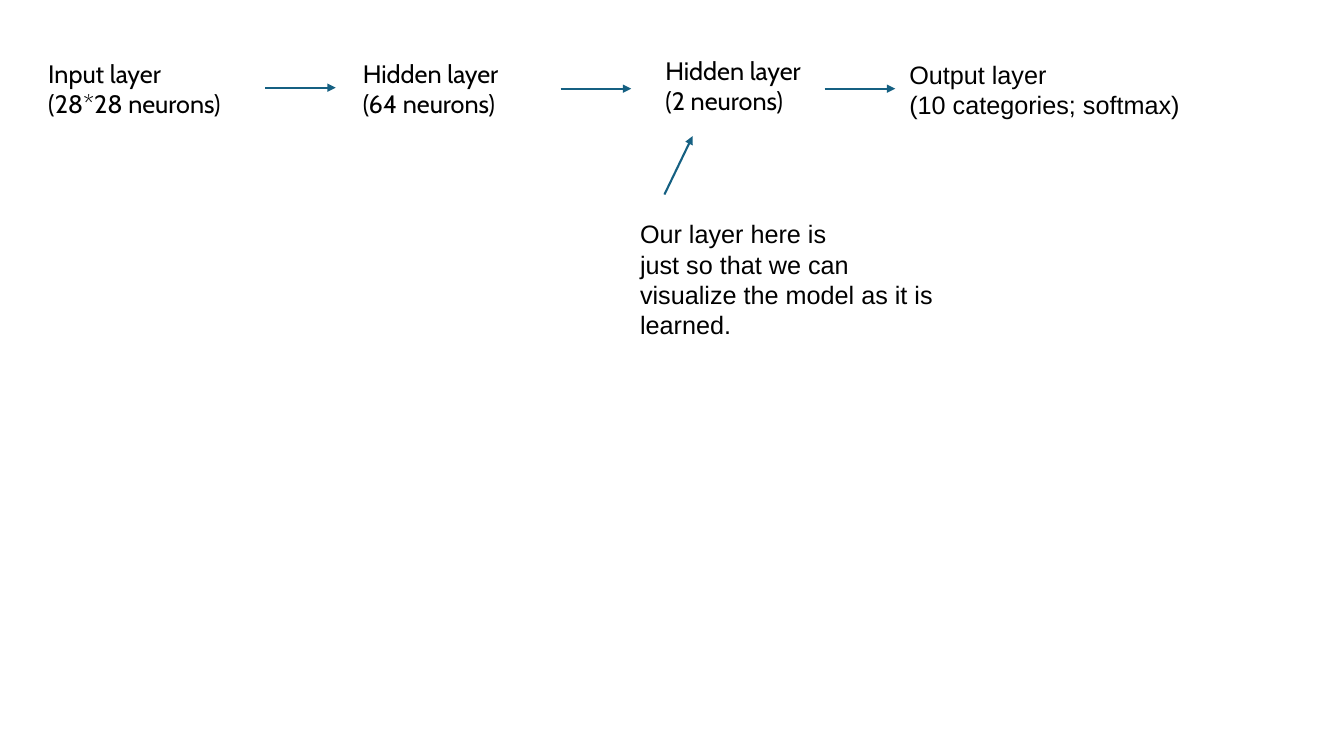
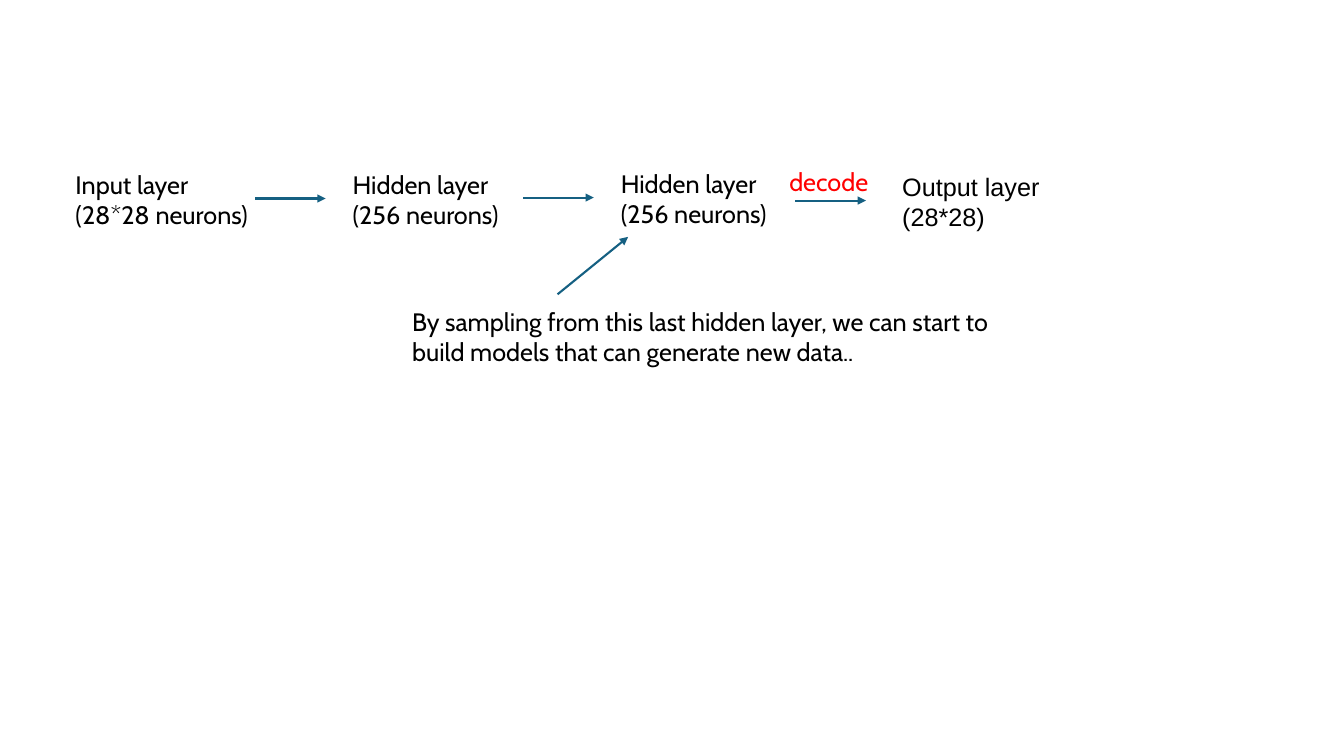
"""Build two slides that chain neural network layers with arrows."""
from lxml import etree
from pptx import Presentation
from pptx.dml.color import RGBColor
from pptx.enum.shapes import MSO_CONNECTOR
from pptx.enum.text import MSO_AUTO_SIZE
from pptx.oxml.ns import qn
from pptx.util import Pt

PX = 9144
SLIDE_SIZE = (1333, 750)
ARROW_LENGTH = 70
COLOURS = {"text": "000000", "accent": "FF0000", "arrow": "156082"}
LABEL_FORMAT = {"name": "Cabin", "size": Pt(18)}
ARIAL = {"name": "Arial"}

SLIDES = [
    {
        "labels": [
            (["Input layer", "(28*28 neurons)"], (38, 53, 195, 71), {}),
            (["Hidden layer", "(64 neurons)"], (350, 53, 158, 71), {}),
            (["Hidden layer", "(2 neurons)"], (650, 50, 158, 71), {}),
            (["Output layer", "(10 categories; softmax)"], (892, 54, 291, 71), ARIAL),
            (["Our layer here is", "just so that we can",
              "visualize the model as it is", "learned."], (625, 212, 313, 131), ARIAL),
        ],
        "accents": [],
        "flow_starts": [(263, 87), (556, 88), (818, 88)],
        "note_arrow": ((659, 193), (687, 135)),
    },
    {
        "labels": [
            (["Input layer", "(28*28 neurons)"], (65, 163, 195, 71), {}),
            (["Hidden layer", "(256 neurons)"], (340, 163, 170, 71), {}),
            (["Hidden layer", "(256 neurons)"], (606, 162, 170, 71), {}),
            (["Output layer", "(28*28)"], (885, 165, 158, 71), ARIAL),
            (["By sampling from this last hidden layer, we can start to",
              "build models that can generate new data.."], (399, 299, 612, 71), {}),
        ],
        "accents": [(["decode"], (773, 160, 170, 40), {})],
        "flow_starts": [(253, 197), (519, 196), (789, 199)],
        "note_arrow": ((553, 292), (623, 235)),
    },
]


def px(*lengths):
    return [length * PX for length in lengths]


def add_label(slide, lines, place, font_format, colour="text", wrap=False):
    frame = slide.shapes.add_textbox(*px(*place)).text_frame
    frame.word_wrap = wrap
    frame.auto_size = MSO_AUTO_SIZE.SHAPE_TO_FIT_TEXT
    frame.text = "\n".join(lines)
    for line in frame.paragraphs:
        for attribute, value in {**LABEL_FORMAT, **font_format}.items():
            setattr(line.font, attribute, value)
        line.font.color.rgb = RGBColor.from_string(COLOURS[colour])


def add_arrow(slide, start, end):
    arrow = slide.shapes.add_connector(MSO_CONNECTOR.STRAIGHT, *px(*start, *end))
    arrow.line.width = Pt(1.5)
    arrow.line.color.rgb = RGBColor.from_string(COLOURS["arrow"])
    etree.SubElement(arrow.line._get_or_add_ln(), qn("a:tailEnd"), type="triangle")
    etree.SubElement(arrow._element.spPr, qn("a:effectLst"))


def main():
    deck = Presentation()
    deck.slide_width, deck.slide_height = px(*SLIDE_SIZE)
    for content in SLIDES:
        slide = deck.slides.add_slide(deck.slide_layouts[6])
        for label in content["labels"]:
            add_label(slide, *label)
        for accent in content["accents"]:
            add_label(slide, *accent, colour="accent", wrap=True)
        for left, top in content["flow_starts"]:
            add_arrow(slide, (left, top), (left + ARROW_LENGTH, top))
        add_arrow(slide, *content["note_arrow"])
    deck.save("out.pptx")


if __name__ == "__main__":
    main()
